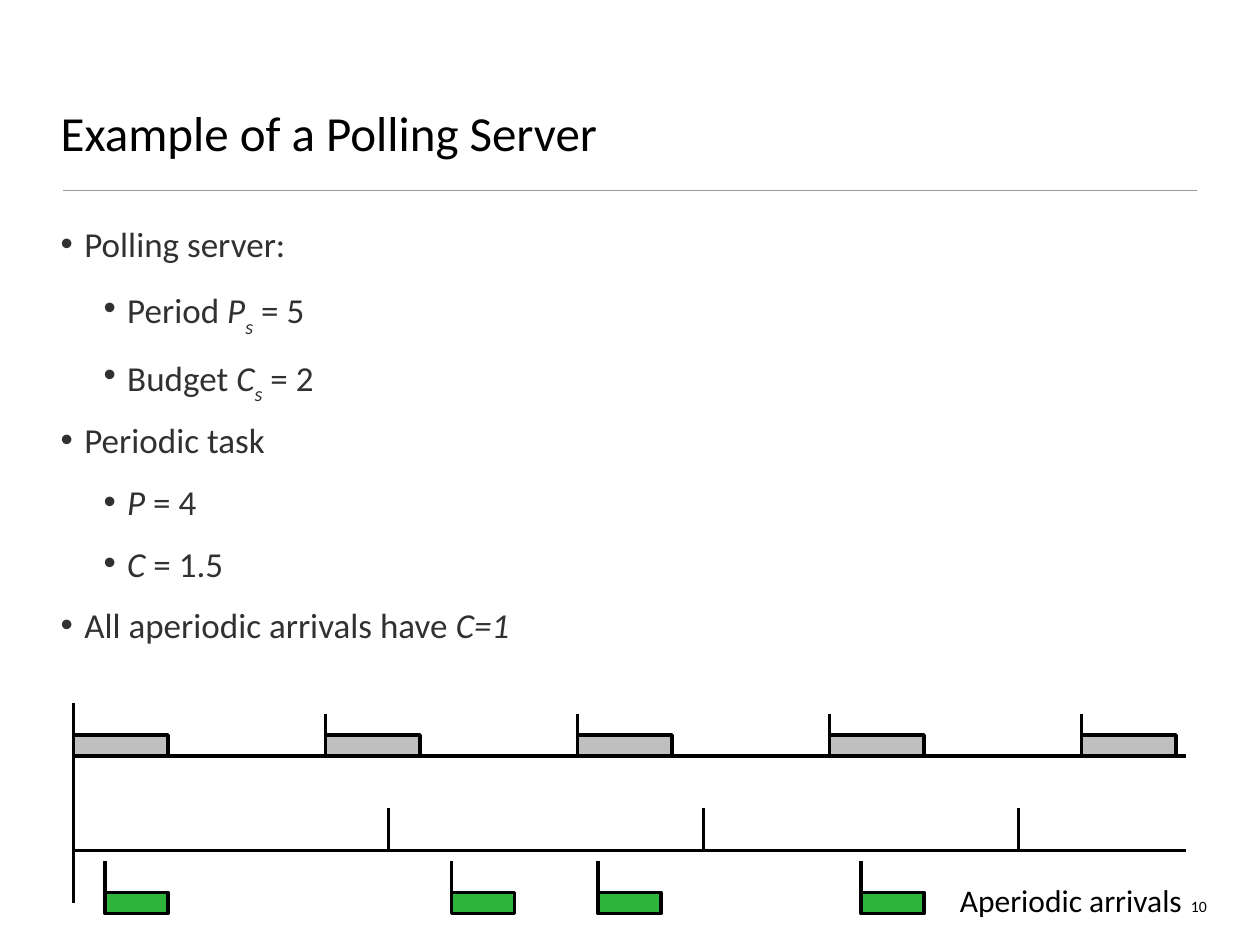
from lxml.etree import SubElement
from pptx import Presentation
from pptx.dml.color import RGBColor
from pptx.enum.shapes import MSO_CONNECTOR, MSO_SHAPE
from pptx.enum.text import MSO_ANCHOR, PP_ALIGN
from pptx.oxml.ns import qn
from pptx.util import Pt

BLACK = RGBColor(0x00, 0x00, 0x00)
TEXT = RGBColor(0x31, 0x31, 0x31)
RULE = RGBColor(0x9A, 0x9A, 0x9A)
GRAY = RGBColor(0xBF, 0xBF, 0xBF)
GREEN = RGBColor(0x2E, 0xB4, 0x3B)
FONT = "Calibri"

UNIT = 36  # points per time unit
JOB_HEIGHT = 12
SERVER_PERIOD = 5
TASK_PERIOD = 4
TASK_COST = 1.5
ARRIVAL_COST = 1
ARRIVALS = [0.5, 6, 8.33, 12.5]

# Each bullet: level, then runs of (text, style)
BULLETS = [
    (0, [("Polling server:", "")]),
    (1, [("Period ", ""), ("P", "italic"), ("s", "subscript"), (" = 5", "")]),
    (1, [("Budget ", ""), ("C", "italic"), ("s", "subscript"), (" = 2", "")]),
    (0, [("Periodic task", "")]),
    (1, [("P", "italic"), (" = 4", "")]),
    (1, [("C", "italic"), (" = 1.5", "")]),
    (0, [("All aperiodic arrivals have ", ""), ("C=1", "italic")]),
]
INDENTS = [13.5, 38]
HANGING = 13.5


def add_line(slide, x1, y1, x2, y2, color=BLACK, width=2):
    line = slide.shapes.add_connector(
        MSO_CONNECTOR.STRAIGHT, Pt(x1), Pt(y1), Pt(x2), Pt(y2))
    line.line.color.rgb = color
    line.line.width = Pt(width)
    SubElement(line._element.spPr, qn("a:effectLst"))


def add_text_frame(slide, left, top, width, height, inset=0, anchor=MSO_ANCHOR.TOP):
    frame = slide.shapes.add_textbox(Pt(left), Pt(top), Pt(width), Pt(height)).text_frame
    frame.word_wrap = True
    frame.vertical_anchor = anchor
    frame.margin_left = frame.margin_right = Pt(inset)
    frame.margin_top = frame.margin_bottom = Pt(inset)
    return frame


def add_run(paragraph, text, size, color=BLACK, style=""):
    run = paragraph.add_run()
    run.text = text
    font = run.font
    font.name, font.size, font.color.rgb = FONT, Pt(size), color
    if style:
        font.italic = True
    if style == "subscript":
        font._element.set("baseline", "-29000")


def set_bullet(paragraph, level):
    paragraph.level = level
    properties = paragraph._p.get_or_add_pPr()
    properties.set("marL", str(Pt(INDENTS[level])))
    properties.set("indent", str(-Pt(HANGING)))
    bullet_color = SubElement(properties, qn("a:buClr"))
    SubElement(bullet_color, qn("a:srgbClr")).set("val", str(TEXT))
    SubElement(properties, qn("a:buFont")).set("typeface", "Arial")
    SubElement(properties, qn("a:buChar")).set("char", "•")


def add_title(slide, left, top, width, height):
    frame = add_text_frame(slide, left, top, width, height, 3, MSO_ANCHOR.BOTTOM)
    add_run(frame.paragraphs[0], "Example of a Polling Server", 28)
    rule_y = top + height + 13.7
    add_line(slide, left + 4.3, rule_y, left + width - 4.3, rule_y, RULE, 0.75)


def add_bullets(slide, left, top, width, height):
    frame = add_text_frame(slide, left, top, width, height, 3)
    for index, (level, runs) in enumerate(BULLETS):
        paragraph = frame.add_paragraph() if index else frame.paragraphs[0]
        paragraph.line_spacing = 0.8
        if index:
            paragraph.space_before = Pt(16)
        set_bullet(paragraph, level)
        for text, style in runs:
            add_run(paragraph, text, 20, TEXT, style)


def add_job(slide, left, bottom, cost, color):
    job = slide.shapes.add_shape(
        MSO_SHAPE.RECTANGLE, Pt(left), Pt(bottom - JOB_HEIGHT),
        Pt(cost * UNIT), Pt(JOB_HEIGHT))
    job.shadow.inherit = False
    job.fill.solid()
    job.fill.fore_color.rgb = color
    job.line.color.rgb = BLACK
    job.line.width = Pt(2)


def add_schedule(slide, left, top, width, height):
    """Draw the task and server timelines, with the aperiodic arrivals below."""
    task_y, server_y = top + 30, top + 84
    arrival_top, arrival_bottom = top + 90, top + 120
    end = width / UNIT

    add_line(slide, left, top, left, top + height)
    for axis_y, period in ((task_y, TASK_PERIOD), (server_y, SERVER_PERIOD)):
        add_line(slide, left, axis_y, left + width, axis_y)
        for time in range(period, int(end) + 1, period):
            x = left + time * UNIT
            add_line(slide, x, axis_y, x, axis_y - 24)

    for time in range(0, int(end), TASK_PERIOD):
        add_job(slide, left + time * UNIT, task_y, TASK_COST, GRAY)
    for time in ARRIVALS:
        x = left + time * UNIT
        add_job(slide, x, arrival_bottom, ARRIVAL_COST, GREEN)
        add_line(slide, x, arrival_top, x, arrival_bottom - JOB_HEIGHT / 2)


def add_label(slide, left, top, width, height, text, size, alignment):
    frame = add_text_frame(slide, left, top, width, height, anchor=MSO_ANCHOR.BOTTOM)
    frame.word_wrap = False
    frame.paragraphs[0].alignment = alignment
    add_run(frame.paragraphs[0], text, size)


def main():
    presentation = Presentation()
    presentation.slide_width, presentation.slide_height = Pt(720), Pt(540)
    slide = presentation.slides.add_slide(presentation.slide_layouts[6])
    add_title(slide, 31.7, 18, 656.6, 77)
    add_bullets(slide, 31.7, 128.9, 669, 257.8)
    add_schedule(slide, 42, 402, 636, 114)
    add_label(slide, 548, 503.3, 128, 22, "Aperiodic arrivals", 18, PP_ALIGN.CENTER)
    add_label(slide, 679.7, 512.5, 10, 11, "10", 9, PP_ALIGN.RIGHT)
    presentation.save("out.pptx")


if __name__ == "__main__":
    main()
